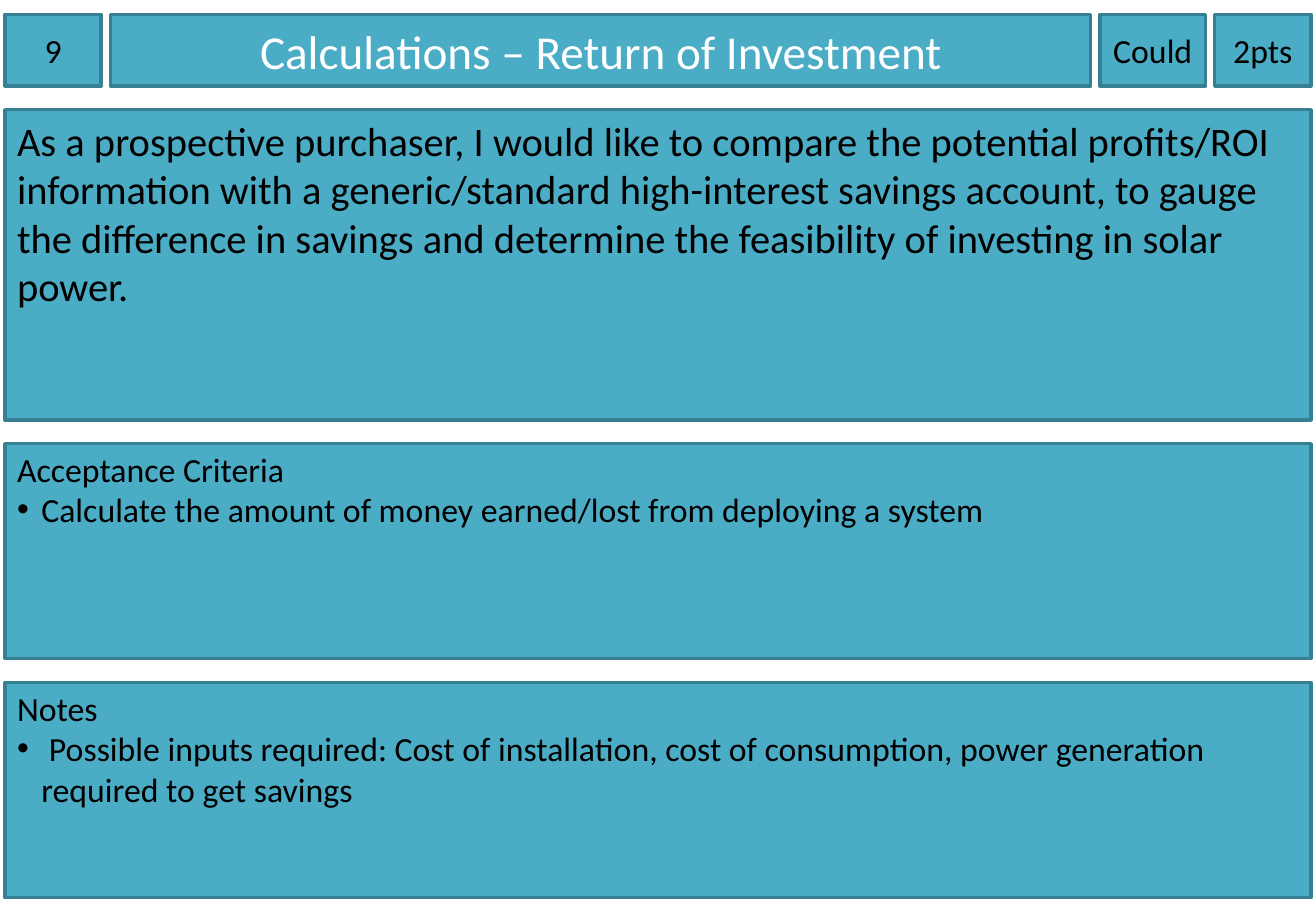
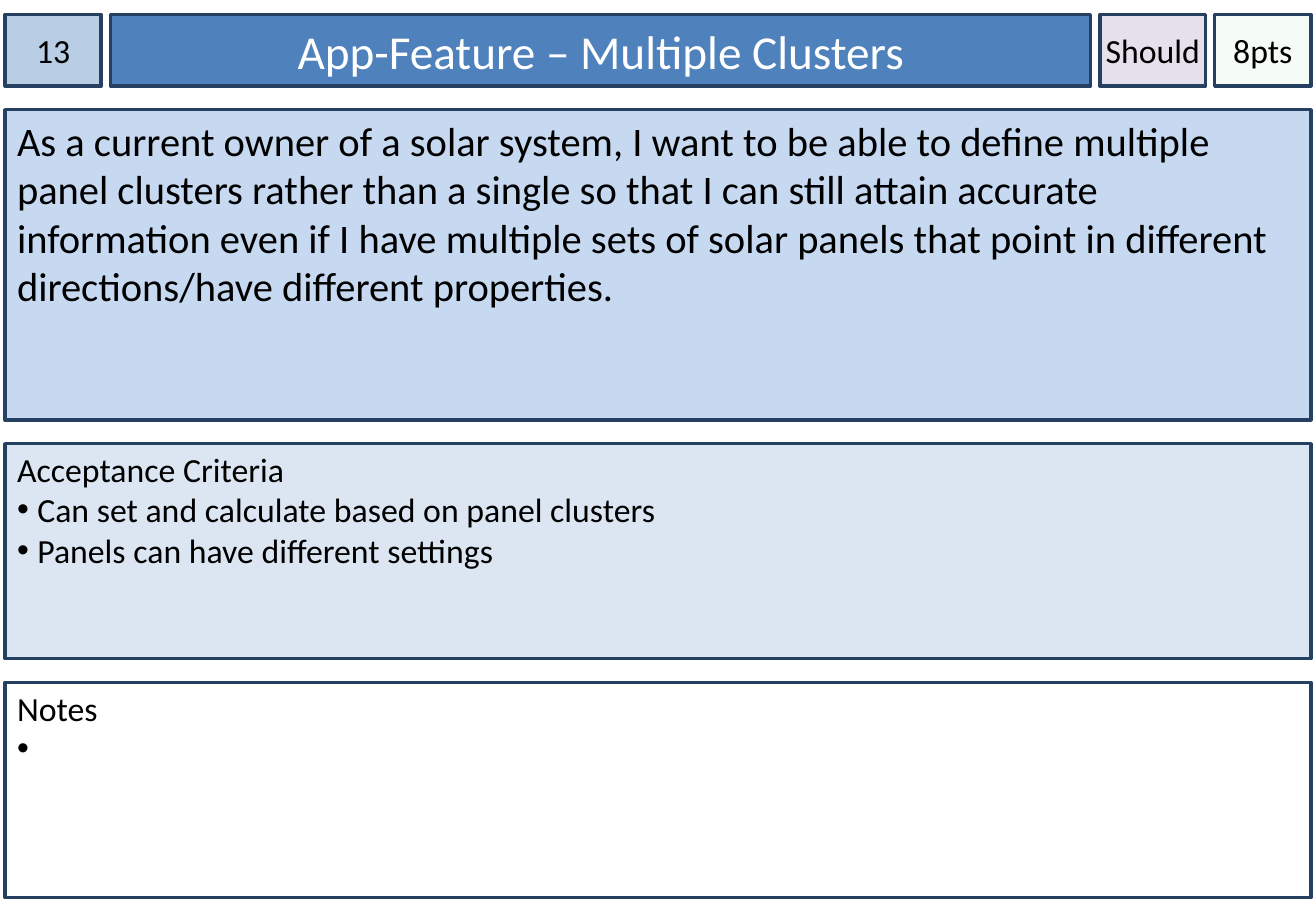
import pptx
import pptx.dml.color
import pptx.enum.shapes
import pptx.enum.text
import pptx.oxml
import pptx.oxml.ns
import pptx.util
from lxml import etree

Pt = pptx.util.Pt
ALIGN = pptx.enum.text.PP_ALIGN
ANCHOR = pptx.enum.text.MSO_ANCHOR
RECT = pptx.enum.shapes.MSO_SHAPE.RECTANGLE
qn = pptx.oxml.ns.qn

LEFT, TOP, WIDTH = 3, 8.5, 774
COL_GAP, ROW_GAP = 5.5, 14
HEADER_HEIGHT = 42.5
HEADER_WIDTHS = {"number": 57, "title": 581, "priority": 62.5, "points": 57}
PANEL_HEIGHTS = {"story": 184, "criteria": 127.5, "notes": 127.5}

TEAL = "4BACC6"
CARDS = [
    {
        "line": "377F92",
        "fills": dict.fromkeys([*HEADER_WIDTHS, *PANEL_HEIGHTS], TEAL),
        "alpha": {},
        "hang": 14.4,
        "number": "9",
        "title": "Calculations – Return of Investment",
        "priority": "Could",
        "points": "2pts",
        "story": ["As a prospective purchaser, I would like to compare the potential "
                  "profits/ROI information with a generic/standard high-interest savings "
                  "account, to gauge the difference in savings and determine the "
                  "feasibility of investing in solar power."],
        "criteria": ["Acceptance Criteria",
                     "Calculate the amount of money earned/lost from deploying a system"],
        "notes": ["Notes",
                  " Possible inputs required: Cost of installation, cost of consumption, "
                  "power generation required to get savings"],
    },
    {
        "line": "254061",
        "fills": {"number": "B9CDE5", "title": "4F81BD", "priority": "E6E0EC",
                  "points": "CCF0CD", "story": "C6D9F1", "criteria": "DCE6F2",
                  "notes": "FFFFFF"},
        "alpha": {"points": 20},
        "hang": 12,
        "number": "13",
        "title": "App-Feature – Multiple Clusters",
        "priority": "Should",
        "points": "8pts",
        "story": ["As a current owner of a solar system, I want to be able to define "
                  "multiple panel clusters rather than a single so that I can still attain "
                  "accurate information even if I have multiple sets of solar panels that "
                  "point in different directions/have different properties."],
        "criteria": ["Acceptance Criteria",
                     "Can set and calculate based on panel clusters",
                     "Panels can have different settings"],
        "notes": ["Notes", " "],
    },
]


def rgb(hex_colour):
    return pptx.dml.color.RGBColor.from_string(hex_colour)


def write(sp, lines, size=20, colour="000000", align=ALIGN.LEFT, anchor=ANCHOR.TOP,
          side=7.2, top=3.6, wrap=True, hang=14.4):
    """Fill a shape with text; every line after the first gets a bullet."""
    tf = sp.text_frame
    tf.auto_size = pptx.enum.text.MSO_AUTO_SIZE.NONE
    tf.word_wrap = wrap
    tf.vertical_anchor = anchor
    tf.margin_left = tf.margin_right = Pt(side)
    tf.margin_top, tf.margin_bottom = Pt(top), Pt(3.6)
    for i, line in enumerate(lines):
        p = tf.add_paragraph() if i else tf.paragraphs[0]
        p.alignment = align
        if i:
            pPr = p._p.get_or_add_pPr()
            pPr.set("marL", str(Pt(hang)))
            pPr.set("indent", str(-Pt(hang)))
            etree.SubElement(pPr, qn("a:buFont")).set("typeface", "Arial")
            etree.SubElement(pPr, qn("a:buChar")).set("char", "•")
        r = p.add_run()
        r.text = line
        r.font.name = "Calibri"
        r.font.size = Pt(size)
        r.font.color.rgb = rgb(colour)


prs = pptx.Presentation()
prs.slide_width, prs.slide_height = Pt(780), Pt(540)

# Header cells run left to right, panels run down below them.
places = {}
x = LEFT
for name, width in HEADER_WIDTHS.items():
    places[name] = (x, TOP, width, HEADER_HEIGHT)
    x += width + COL_GAP
y = TOP + HEADER_HEIGHT + ROW_GAP
for name, height in PANEL_HEIGHTS.items():
    places[name] = (LEFT, y, WIDTH, height)
    y += height + ROW_GAP

for card in CARDS:
    s = prs.slides.add_slide(prs.slide_layouts[5])
    for name, place in places.items():
        box = [Pt(v) for v in place]
        if name == "title":
            sp = s.shapes.title
            sp.left, sp.top, sp.width, sp.height = box
        else:
            sp = s.shapes.add_shape(RECT, *box)
            sp.shadow.inherit = False
        sp.fill.solid()
        sp.fill.fore_color.rgb = rgb(card["fills"][name])
        if name in card["alpha"]:
            colour = sp._element.spPr.find(qn("a:solidFill"))[0]
            etree.SubElement(colour, qn("a:alpha")).set("val", str(card["alpha"][name] * 1000))
        sp.line.color.rgb = rgb(card["line"])
        sp.line.width = Pt(2)

        if name == "title":
            write(sp, [card[name]], size=28, colour="FFFFFF", align=ALIGN.CENTER,
                  anchor=ANCHOR.MIDDLE)
        elif name in HEADER_WIDTHS:
            write(sp, [card[name]], align=ALIGN.CENTER, anchor=ANCHOR.MIDDLE, side=0,
                  wrap=name != "priority")
        elif name == "story":
            write(sp, card[name], size=24)
        else:
            hang = card["hang"] if name == "criteria" else 14.4
            write(sp, card[name], top=2.9, hang=hang)

prs.save("out.pptx")
